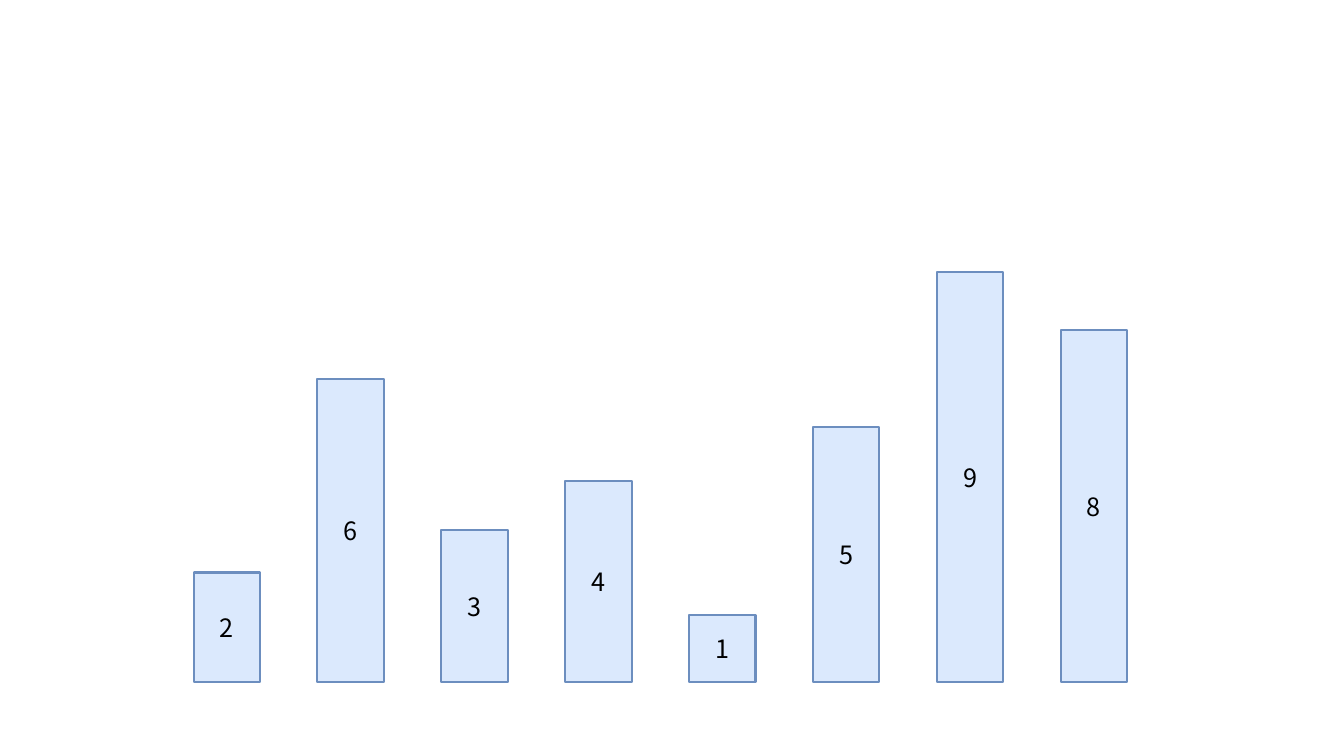
from pptx import Presentation
from pptx.dml.color import RGBColor
from pptx.enum.shapes import MSO_SHAPE
from pptx.enum.text import MSO_ANCHOR, PP_ALIGN
from pptx.util import Inches, Pt

FILL = RGBColor(0xDB, 0xE9, 0xFD)
OUTLINE = RGBColor(0x6C, 0x8E, 0xBF)
BLACK = RGBColor(0, 0, 0)
FONT = "Noto Sans CJK SC"

BAR_WIDTH = 0.66
# Number on each bar and the bar's height in inches, left to right
BARS = [(2, 1.09), (6, 3.01), (3, 1.51), (4, 2.0),
        (1, 0.67), (5, 2.53), (9, 4.07), (8, 3.5)]


def add_bar(s, left, top, width, height, number):
    """One outlined bar with its number in the middle."""
    sp = s.shapes.add_shape(MSO_SHAPE.RECTANGLE, Inches(left), Inches(top),
                            Inches(width), Inches(height))
    sp.shadow.inherit = False
    sp.fill.solid()
    sp.fill.fore_color.rgb = FILL
    sp.line.color.rgb = OUTLINE
    sp.line.width = Pt(1.5)

    # Number
    tf = sp.text_frame
    tf.vertical_anchor = MSO_ANCHOR.MIDDLE
    p = tf.paragraphs[0]
    p.text = str(number)
    p.alignment = PP_ALIGN.CENTER
    r = p.runs[0]
    r.font.name = FONT
    r.font.size = Pt(18)
    r.font.color.rgb = BLACK


def add_bar_row(s, left, top, width, height):
    """Bars spread evenly over the box, standing on its bottom edge."""
    pitch = (width - BAR_WIDTH) / (len(BARS) - 1)
    for i, (number, bar_height) in enumerate(BARS):
        add_bar(s, left + i * pitch, top + height - bar_height,
                BAR_WIDTH, bar_height, number)


def main():
    prs = Presentation()
    prs.slide_width = Inches(13.33)
    prs.slide_height = Inches(7.5)
    s = prs.slides.add_slide(prs.slide_layouts[6])
    add_bar_row(s, 1.92, 2.7, 9.26, 4.07)
    prs.save("out.pptx")


if __name__ == "__main__":
    main()
